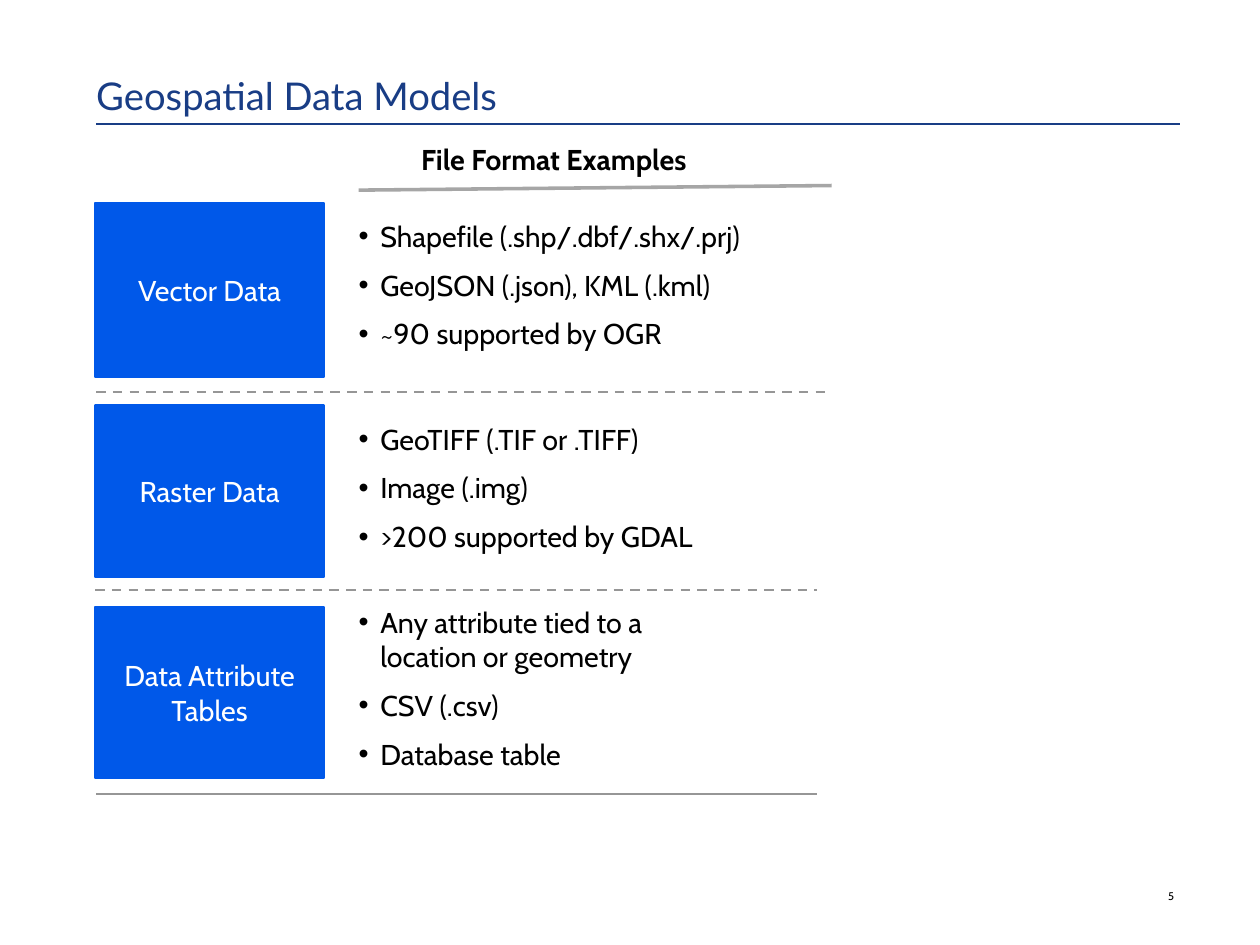
"""Build a slide of geospatial data models with example file formats."""
from dataclasses import dataclass

from lxml.etree import SubElement
from pptx import Presentation
from pptx.dml.color import RGBColor
from pptx.enum.dml import MSO_LINE_DASH_STYLE as Dash
from pptx.enum.shapes import MSO_CONNECTOR_TYPE as Connector, MSO_SHAPE as Shape
from pptx.enum.text import MSO_ANCHOR as Anchor, MSO_AUTO_SIZE as AutoSize, PP_ALIGN as Align
from pptx.oxml.ns import qn
from pptx.util import Inches, Pt

NAVY, BLUE, BLACK, WHITE = "193D85", "0058E9", "000000", "FFFFFF"
GREY, LIGHT_GREY = "969696", "A6A6A6"
LABEL_LEFT, LABEL_WIDTH, LIST_LEFT = 0.83, 2, 3.13
HANGING = 0.19


@dataclass
class DataModel:
    label: str
    top: float
    height: float
    formats: list[str]
    list_top: float
    list_width: float
    list_height: float
    placeholder: int


@dataclass
class Rule:
    start: tuple[float, float]
    end: tuple[float, float]
    color: str = GREY
    width: float = 1.5
    dashed: bool = False


MODELS = [
    DataModel("Vector Data", 1.77, 1.52,
              ["Shapefile (.shp/.dbf/.shx/.prj)", "GeoJSON (.json), KML (.kml)",
               "~90 supported by OGR"], 1.91, 3.5, 1.21, 2),
    DataModel("Raster Data", 3.54, 1.5,
              ["GeoTIFF (.TIF or .TIFF)", "Image (.img)",
               ">200 supported by GDAL"], 3.68, 3.5, 1.21, 3),
    DataModel("Data Attribute\vTables", 5.3, 1.49,
              ["Any attribute tied to a location or geometry", "CSV (.csv)",
               "Database table"], 5.28, 3.35, 1.51, 4),
]

RULES = [
    Rule((0.84, 1.08), (10.3, 1.08), NAVY),
    Rule((3.13, 1.66), (7.26, 1.62), LIGHT_GREY, 2.25),
    Rule((0.84, 3.42), (7.26, 3.42), dashed=True),
    Rule((0.83, 5.15), (7.13, 5.15), dashed=True),
    Rule((0.84, 6.93), (7.13, 6.93)),
]


def rgb(color: str) -> RGBColor:
    """Turn a hex string into a colour."""
    return RGBColor.from_string(color)


def place(shape, left: float, top: float, width: float, height: float) -> None:
    """Move and size a shape, in inches."""
    shape.left, shape.top = Inches(left), Inches(top)
    shape.width, shape.height = Inches(width), Inches(height)


def write(shape, *lines: str, size: float = 18, font: str = "Cabin", color: str = BLACK,
          bold: bool = False, align=Align.LEFT, anchor=Anchor.TOP,
          bullet: bool = False, wrap: bool = True) -> None:
    """Fill a shape with one paragraph per line in a single format."""
    box = shape.text_frame
    box.auto_size, box.word_wrap, box.vertical_anchor = AutoSize.NONE, wrap, anchor
    box.margin_left = box.margin_top = box.margin_right = box.margin_bottom = 0
    for number, line in enumerate(lines):
        para = box.add_paragraph() if number else box.paragraphs[0]
        para.text = line
        para.alignment = align
        para.space_before = Pt(size / 2 if number else 0)
        indent = Inches(HANGING) if bullet else 0
        properties = para._p.get_or_add_pPr()
        properties.set("marL", str(indent))
        properties.set("indent", str(-indent))
        if bullet:
            SubElement(properties, qn("a:buChar"), char="•")
        else:
            SubElement(properties, qn("a:buNone"))
        for span in para.runs:
            span.font.name, span.font.size, span.font.bold = font, Pt(size), bold
            span.font.color.rgb = rgb(color)


def draw_rule(page, rule: Rule) -> None:
    """Draw a straight rule without a shadow."""
    ends = [Inches(value) for value in (*rule.start, *rule.end)]
    connector = page.shapes.add_connector(Connector.STRAIGHT, *ends)
    connector.line.color.rgb = rgb(rule.color)
    connector.line.width = Pt(rule.width)
    if rule.dashed:
        connector.line.dash_style = Dash.DASH
    SubElement(connector._element.spPr, qn("a:effectLst"))


def draw_model(page, model: DataModel) -> None:
    """Draw a labelled block and the list of formats beside it."""
    block = page.shapes.add_shape(Shape.RECTANGLE, Inches(LABEL_LEFT), Inches(model.top),
                                  Inches(LABEL_WIDTH), Inches(model.height))
    block.shadow.inherit = False
    block.fill.solid()
    block.fill.fore_color.rgb = block.line.color.rgb = rgb(BLUE)
    block.line.width = Pt(1.5)
    write(block, model.label, color=WHITE, align=Align.CENTER, anchor=Anchor.MIDDLE, wrap=False)

    formats = page.placeholders[model.placeholder]
    place(formats, LIST_LEFT, model.list_top, model.list_width, model.list_height)
    write(formats, *model.formats, bullet=True)


def main() -> None:
    """Build and save the deck."""
    deck = Presentation()
    deck.slide_width, deck.slide_height = Inches(11), Inches(8.25)
    page = deck.slides.add_slide(deck.slide_layouts.get_by_name("Comparison"))

    title = page.shapes.title
    place(title, 0.84, 0, 9.46, 1.03)
    write(title, "Geospatial Data Models", size=24, font="Lato", color=NAVY, anchor=Anchor.BOTTOM)

    heading = page.placeholders[1]
    place(heading, LIST_LEFT, 1.19, 3.41, 0.39)
    write(heading, "File Format Examples", bold=True, align=Align.CENTER, anchor=Anchor.MIDDLE)

    for model in MODELS:
        draw_model(page, model)
    for rule in RULES:
        draw_rule(page, rule)

    number = page.shapes.add_textbox(Inches(9.8), Inches(7.47), Inches(0.45), Inches(0.41))
    write(number, "5", size=7, align=Align.RIGHT, anchor=Anchor.BOTTOM)
    deck.save("out.pptx")


if __name__ == "__main__":
    main()
